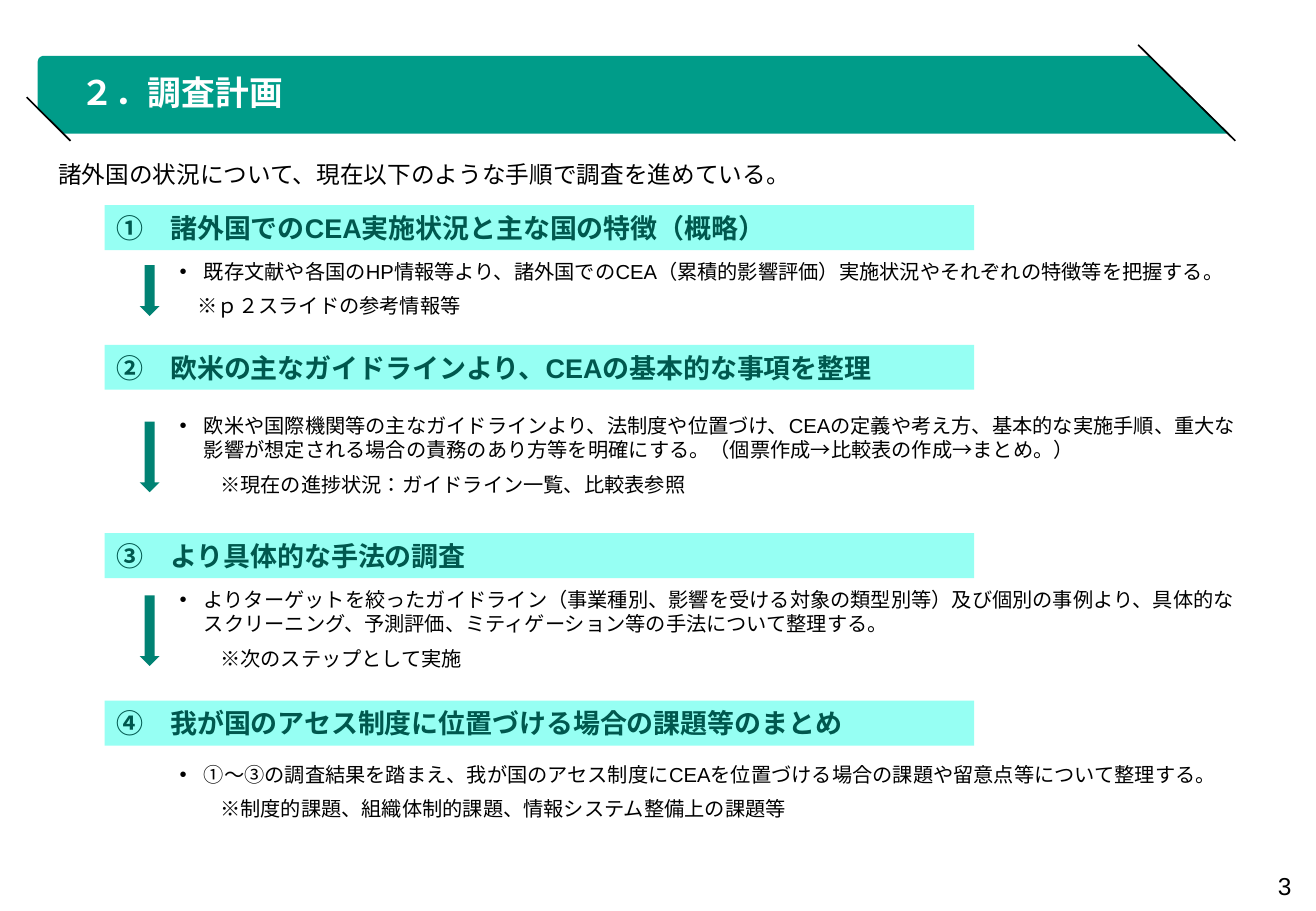
"""Build the survey plan slide with its four numbered steps."""
from dataclasses import dataclass

from lxml.etree import SubElement
from pptx import Presentation
from pptx.dml.color import RGBColor
from pptx.enum.lang import MSO_LANGUAGE_ID as Lang
from pptx.enum.shapes import MSO_CONNECTOR as Connector, MSO_SHAPE as Preset
from pptx.enum.text import MSO_ANCHOR as Anchor, MSO_AUTO_SIZE as AutoSize, PP_ALIGN as Align
from pptx.oxml.ns import qn
from pptx.util import Pt

COLORS = {
    "banner": "009C89", "heading_fill": "96FFF3", "heading": "00584E",
    "arrow": "008273", "black": "000000", "white": "FFFFFF",
}
LATIN, JAPANESE = "Arial", "Noto Sans CJK JP"
BANNER_OUTLINE = [
    (27.4, 33.1), (681, 33.1), (728.6, 79.2), (41.8, 79.2), (37.4, 79.2),
    (22.3, 64.8), (22.3, 36.7), (22.8, 34.9), (23.8, 33.8), (25.2, 33.2),
]
BANNER_SLASHES = [(674.6, 26.6, 732.2, 83.5), (15.8, 57.6, 41.8, 83.5)]


@dataclass(frozen=True)
class Step:
    heading: str
    heading_top: float
    detail: str
    note: str
    detail_top: float
    detail_height: float
    note_indent: float = 24
    arrow_height: float = 0


STEPS = [
    Step("①　諸外国でのCEA実施状況と主な国の特徴（概略）", 121.7,
         "既存文献や各国のHP情報等より、諸外国でのCEA（累積的影響評価）"
         "実施状況やそれぞれの特徴等を把握する。",
         "※ｐ２スライドの参考情報等", 149.8, 42.5, 10.7, 30.2),
    Step("②　欧米の主なガイドラインより、CEAの基本的な事項を整理", 204.5,
         "欧米や国際機関等の主なガイドラインより、法制度や位置づけ、"
         "CEAの定義や考え方、基本的な実施手順、重大な影響が想定される場合の"
         "責務のあり方等を明確にする。（個票作成→比較表の作成→まとめ。）",
         "※現在の進捗状況：ガイドライン一覧、比較表参照", 241.2, 56.9, arrow_height=41.8),
    Step("③　より具体的な手法の調査", 316.1,
         "よりターゲットを絞ったガイドライン（事業種別、影響を受ける対象の類型別等）"
         "及び個別の事例より、具体的なスクリーニング、予測評価、"
         "ミティゲーション等の手法について整理する。",
         "※次のステップとして実施", 344.2, 56.9, arrow_height=41.8),
    Step("④　我が国のアセス制度に位置づける場合の課題等のまとめ", 415.4,
         "①～③の調査結果を踏まえ、我が国のアセス制度にCEAを位置づける場合の"
         "課題や留意点等について整理する。",
         "※制度的課題、組織体制的課題、情報システム整備上の課題等", 447.8, 42.5),
]


def rgb(color: str) -> RGBColor:
    """Look up a named colour."""
    return RGBColor.from_string(COLORS[color])


def write(frame, text: str, *, size: float = 12, color: str = "black", bold: bool = False,
          font: str = LATIN, align=Align.LEFT, before: float = 0, after: float = 0,
          spacing: float = 1.0, indent: float = 0, bullet: bool = False):
    """Write one formatted paragraph, using the empty first one if there is one."""
    paragraph = frame.add_paragraph() if frame.text else frame.paragraphs[0]
    paragraph.alignment = align
    paragraph.space_before, paragraph.space_after = Pt(before), Pt(after)
    paragraph.line_spacing = spacing
    properties = paragraph._p.get_or_add_pPr()
    properties.set("marL", str(Pt(indent)))
    properties.set("indent", str(-Pt(indent) if bullet else 0))
    if bullet:
        SubElement(properties, qn("a:buFont"), typeface=LATIN)
        SubElement(properties, qn("a:buChar"), char="•")
    run = paragraph.add_run()
    run.text = text
    run.font.size, run.font.bold, run.font.name = Pt(size), bold, font
    run.font.language_id = Lang.JAPANESE
    run.font.color.rgb = rgb(color)
    SubElement(run._r.get_or_add_rPr(), qn("a:ea"), typeface=JAPANESE)


def prepare(frame, wrap: bool = True):
    """Centre a text frame vertically and set its wrapping."""
    frame.word_wrap = wrap
    frame.auto_size = AutoSize.NONE
    frame.vertical_anchor = Anchor.MIDDLE
    return frame


def add_text_frame(slide, left: float, top: float, width: float, height: float, wrap: bool = True):
    """Add a text box and return its frame."""
    box = slide.shapes.add_textbox(Pt(left), Pt(top), Pt(width), Pt(height))
    return prepare(box.text_frame, wrap)


def paint(shape, color: str):
    """Give a shape a flat fill without line or shadow."""
    shape.shadow.inherit = False
    shape.fill.solid()
    shape.fill.fore_color.rgb = rgb(color)
    shape.line.fill.background()
    return shape


def add_preset(slide, preset, left: float, top: float, width: float, height: float, color: str):
    """Add a flat preset shape."""
    return paint(slide.shapes.add_shape(preset, Pt(left), Pt(top), Pt(width), Pt(height)), color)


def add_banner(slide):
    """Draw the title banner and its two slashes."""
    points = [(Pt(x), Pt(y)) for x, y in BANNER_OUTLINE]
    builder = slide.shapes.build_freeform(*points[0])
    builder.add_line_segments(points[1:], close=True)
    paint(builder.convert_to_shape(), "banner")
    for ends in BANNER_SLASHES:
        slash = slide.shapes.add_connector(Connector.STRAIGHT, *map(Pt, ends))
        slash.line.color.rgb = rgb("black")
        slash.line.width = Pt(1)
        SubElement(slash._element.spPr, qn("a:effectLst"))


def add_title(slide, text: str):
    """Place the title placeholder in front of the banner."""
    title = slide.shapes.title
    title.left, title.top, title.width, title.height = Pt(27.4), Pt(31.7), Pt(651.6), Pt(46)
    frame = prepare(title.text_frame)
    frame.margin_left, frame.margin_top = Pt(20.2), Pt(2.9)
    frame.margin_right = frame.margin_bottom = 0
    write(frame, text, size=20, color="white", bold=True, font=JAPANESE, spacing=0.9)
    slide.shapes.element.append(title.element)


def add_step(slide, step: Step):
    """Draw one step: heading bar, explanation and arrow to the next step."""
    bar = add_preset(slide, Preset.RECTANGLE, 62, step.heading_top, 515.5, 26.6, "heading_fill")
    write(prepare(bar.text_frame), step.heading, size=16, color="heading", bold=True)
    frame = add_text_frame(slide, 99.4, step.detail_top, 643.7, step.detail_height)
    write(frame, step.detail, indent=14.4, bullet=True)
    write(frame, step.note, indent=step.note_indent, before=6)
    if step.arrow_height:
        arrow_top = step.detail_top + (step.detail_height - step.arrow_height) / 2 + 1.2
        add_preset(slide, Preset.DOWN_ARROW, 82.8, arrow_top, 11.8, step.arrow_height, "arrow")


def main():
    """Assemble and save the slide."""
    deck = Presentation()
    deck.slide_width, deck.slide_height = Pt(780), Pt(540)
    slide = deck.slides.add_slide(deck.slide_layouts.get_by_name("Title Only"))
    add_banner(slide)
    add_title(slide, "２．調査計画")
    introduction = add_text_frame(slide, 27.4, 90.7, 643.7, 24.5)
    write(introduction, "諸外国の状況について、現在以下のような手順で調査を進めている。", size=14, after=6)
    for step in STEPS:
        add_step(slide, step)
    page_number = add_text_frame(slide, 753.1, 518.4, 16.6, 13.7, wrap=False)
    page_number.margin_left = page_number.margin_right = 0
    page_number.margin_top = page_number.margin_bottom = 0
    write(page_number, "3", size=14.5, align=Align.CENTER)
    deck.save("out.pptx")


if __name__ == "__main__":
    main()
